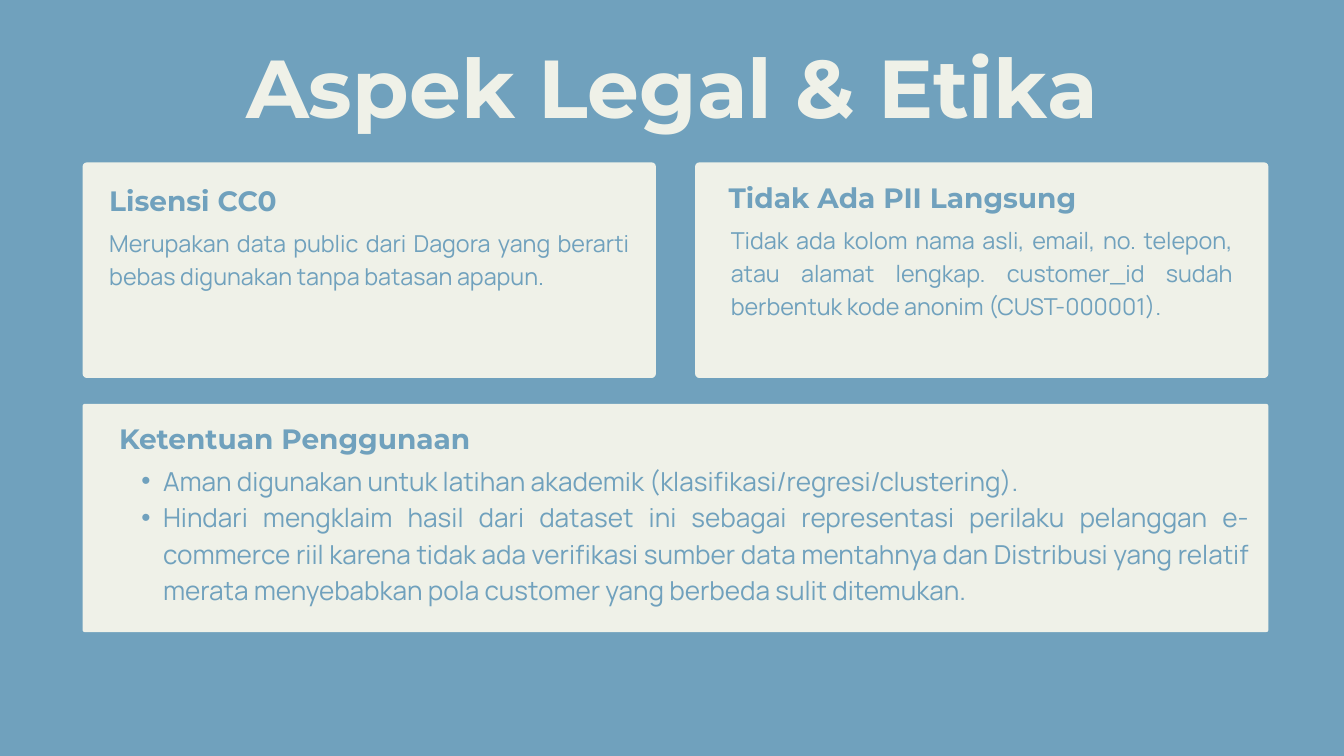
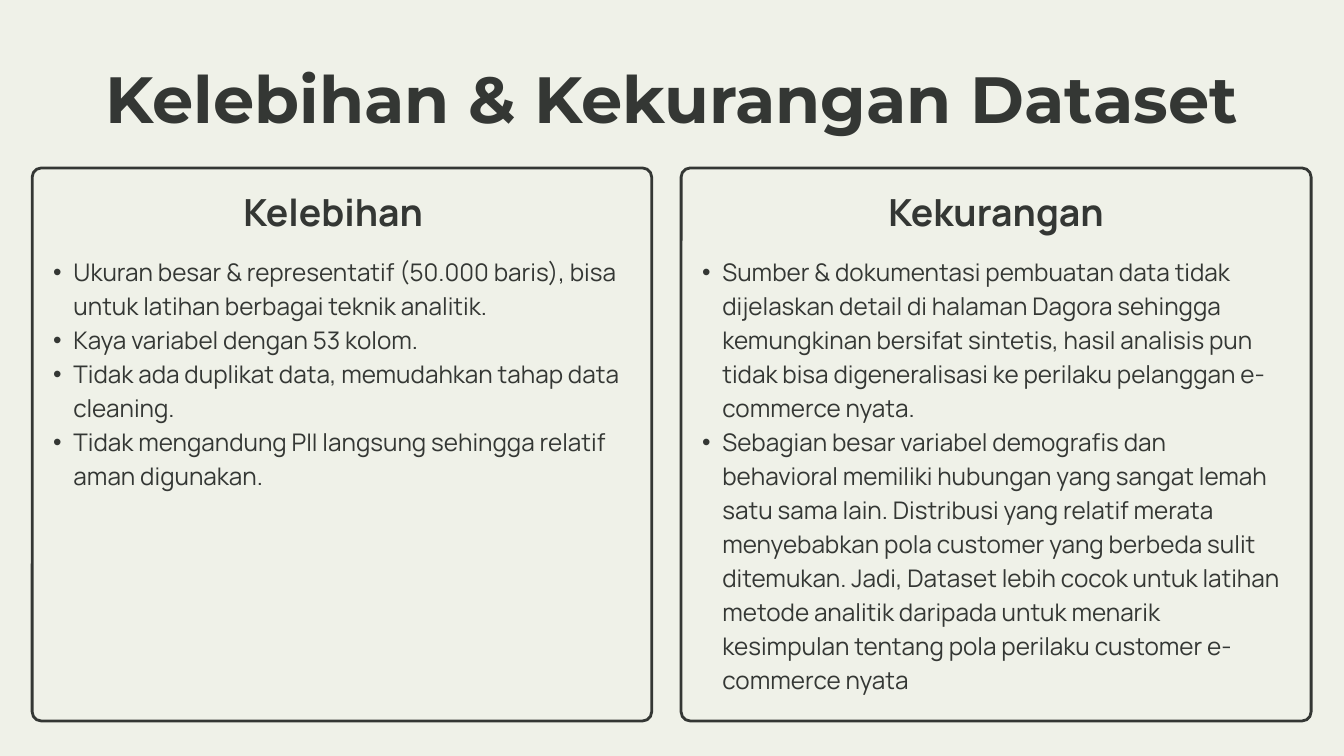
from lxml.etree import SubElement
from pptx import Presentation
from pptx.dml.color import RGBColor
from pptx.enum.shapes import MSO_SHAPE as SHAPE
from pptx.enum.text import MSO_AUTO_SIZE as AUTO_SIZE, PP_ALIGN as ALIGN
from pptx.oxml.ns import qn
from pptx.util import Emu, Pt

BLUE, CREAM, INK = "70A1BD", "EFF1E8", "343734"
DISPLAY, TEXT = "Montserrat", "Manrope"
SLIDE_W, SLIDE_H = 1920, 1080


def px(length):
    return Emu(length * 9525)


def rgb(color):
    return RGBColor.from_string(color)


def new_slide(deck, background):
    slide = deck.slides.add_slide(deck.slide_layouts[6])
    slide.background.fill.solid()
    slide.background.fill.fore_color.rgb = rgb(background)
    return slide


def add_panel(slide, box, radius, fill=None, line=None):
    panel = slide.shapes.add_shape(SHAPE.ROUNDED_RECTANGLE, *map(px, box))
    panel.adjustments[0] = radius / min(box[2:])
    panel.shadow.inherit = False
    if fill:
        panel.fill.solid()
        panel.fill.fore_color.rgb = rgb(fill)
    else:
        panel.fill.background()
    if line:
        panel.line.color.rgb = rgb(line)
        panel.line.width = Pt(3)
    else:
        panel.line.fill.background()


def add_bullet(paragraph, indent):
    """Hang the bullet halfway into the indent."""
    paragraph.level = 1
    properties = paragraph._p.get_or_add_pPr()
    properties.set("marL", str(px(indent)))
    properties.set("indent", str(-px(indent // 2)))
    SubElement(properties, qn("a:buFont"), typeface="Arial")
    SubElement(properties, qn("a:buChar"), char="•")


def add_text(slide, box, lines, size, leading, color, font=TEXT,
             bold=False, align=ALIGN.LEFT, indent=0):
    frame = slide.shapes.add_textbox(*map(px, box)).text_frame
    frame.word_wrap = True
    frame.auto_size = AUTO_SIZE.SHAPE_TO_FIT_TEXT
    frame.margin_left = frame.margin_top = 0
    frame.margin_right = frame.margin_bottom = 0
    frame.text = "\n".join(lines)
    for paragraph in frame.paragraphs:
        paragraph.alignment = align
        paragraph.line_spacing = Pt(leading)
        if indent:
            add_bullet(paragraph, indent)
        paragraph.font.name = font
        paragraph.font.size = Pt(size)
        paragraph.font.bold = bold
        paragraph.font.color.rgb = rgb(color)


def add_title(slide, box, title, size, color):
    add_text(slide, box, [title], size, size * 1.1, color, DISPLAY,
             bold=True, align=ALIGN.CENTER)


def add_legal_card(slide, box, radius, heading, heading_at, lines, body_at,
                   body_w, size=25, indent=0):
    """Cream card with a heading and justified text."""
    left, top, width, height = box
    add_panel(slide, box, radius, fill=CREAM)
    x, y = heading_at
    add_text(slide, (left + x, top + y, width - 2 * x, 54), [heading],
             30, 42, BLUE, DISPLAY, bold=True)
    x, y = body_at
    add_text(slide, (left + x, top + y, body_w, height - y - 36), lines,
             size, size * 1.4, BLUE, align=ALIGN.JUSTIFY, indent=indent)


def add_review_column(slide, box, heading, heading_x, points, body_w, body_h):
    """Outlined column with a centred heading and a bulleted list."""
    left, top = box[:2]
    add_panel(slide, box, 13, line=INK)
    add_text(slide, (left + heading_x, top + 19, 638, 75), [heading],
             40, 56, INK, bold=True, align=ALIGN.CENTER)
    add_text(slide, (left, top + 121, body_w, body_h), points,
             26, 36.4, INK, indent=59)


def build_legal(deck):
    slide = new_slide(deck, BLUE)
    left, top, card_w, card_h, right = 118, 232, 819, 308, 1812
    add_title(slide, (left, 64, 1684, 131), "Aspek Legal & Etika", 88, CREAM)
    # Upper pair of cards
    add_legal_card(
        slide, (left, top, card_w, card_h), 6, "Lisensi CC0", (38, 22),
        ["Merupakan data public dari Dagora yang berarti bebas digunakan "
         "tanpa batasan apapun."], (38, 89), 743)
    add_legal_card(
        slide, (right - card_w, top, card_w, card_h), 6,
        "Tidak Ada PII Langsung", (48, 18),
        ["Tidak ada kolom nama asli, email, no. telepon, atau alamat lengkap. "
         "customer_id sudah berbentuk kode anonim (CUST-000001)."],
        (51, 85), 717)
    # Full-width card
    add_legal_card(
        slide, (left, 577, right - left, 326), 3,
        "Ketentuan Penggunaan", (52, 17),
        ["Aman digunakan untuk latihan akademik "
         "(klasifikasi/regresi/clustering).",
         "Hindari mengklaim hasil dari dataset ini sebagai representasi "
         "perilaku pelanggan e-commerce riil karena tidak ada verifikasi "
         "sumber data mentahnya dan Distribusi yang relatif merata "
         "menyebabkan pola customer yang berbeda sulit ditemukan."],
        (52, 80), 1614, size=28, indent=63)


def build_review(deck):
    slide = new_slide(deck, CREAM)
    top, height = 240, 790
    add_title(slide, (39, 93, 1841, 105), "Kelebihan & Kekurangan Dataset",
              70, INK)
    # Strengths
    add_review_column(
        slide, (46, top, 885, height), "Kelebihan", 111,
        ["Ukuran besar & representatif (50.000 baris), bisa untuk latihan "
         "berbagai teknik analitik.",
         "Kaya variabel dengan 53 kolom.",
         "Tidak ada duplikat data, memudahkan tahap data cleaning.",
         "Tidak mengandung PII langsung sehingga relatif aman digunakan."],
        859, 336)
    # Weaknesses
    add_review_column(
        slide, (973, top, 900, height), "Kekurangan", 131,
        ["Sumber & dokumentasi pembuatan data tidak dijelaskan detail di "
         "halaman Dagora sehingga kemungkinan bersifat sintetis, hasil "
         "analisis pun tidak bisa digeneralisasi ke perilaku pelanggan "
         "e-commerce nyata.",
         "Sebagian besar variabel demografis dan behavioral memiliki hubungan "
         "yang sangat lemah satu sama lain. Distribusi yang relatif merata "
         "menyebabkan pola customer yang berbeda sulit ditemukan. Jadi, "
         "Dataset lebih cocok untuk latihan metode analitik daripada untuk "
         "menarik kesimpulan tentang pola perilaku customer e-commerce nyata"],
        864, 624)


def main():
    deck = Presentation()
    deck.slide_width, deck.slide_height = px(SLIDE_W), px(SLIDE_H)
    build_legal(deck)
    build_review(deck)
    deck.save("out.pptx")


if __name__ == "__main__":
    main()
